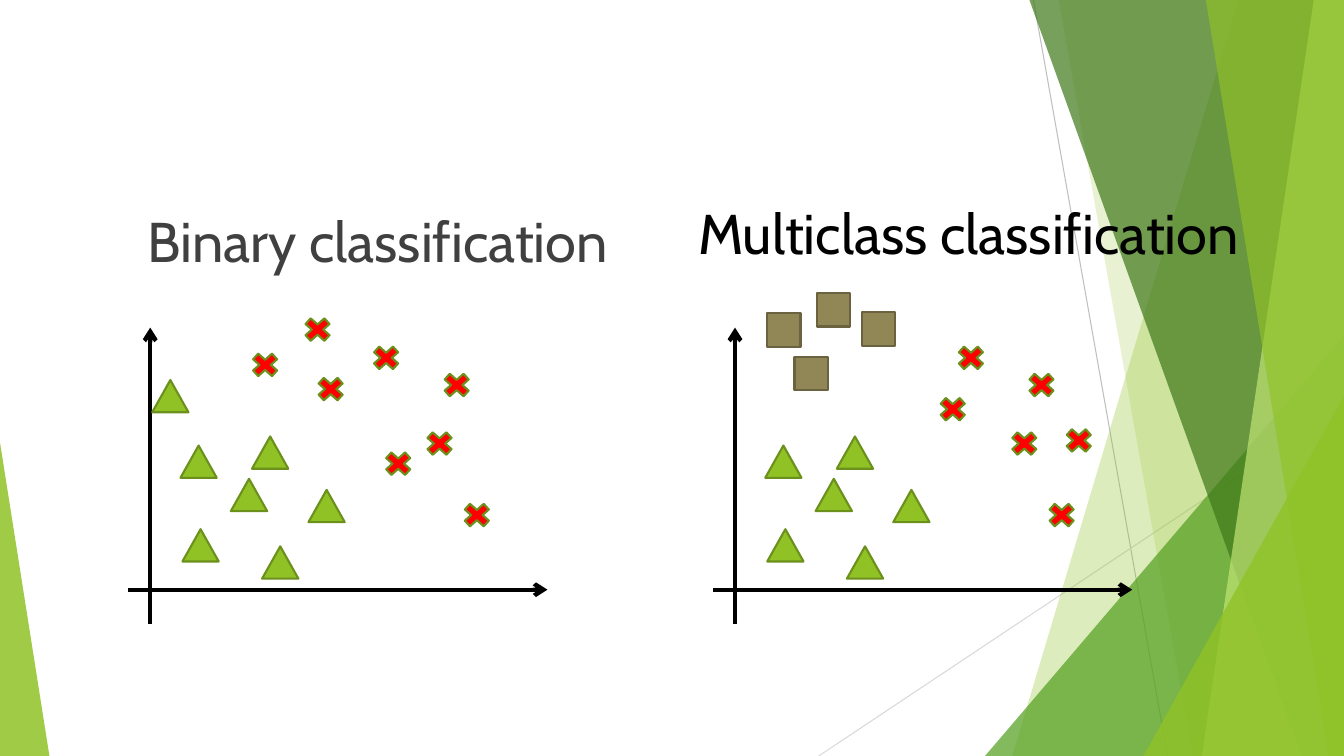
from dataclasses import dataclass

from lxml import etree
from pptx import Presentation
from pptx.dml.color import RGBColor
from pptx.enum.shapes import MSO_CONNECTOR, MSO_SHAPE
from pptx.enum.text import MSO_ANCHOR, MSO_AUTO_SIZE, PP_ALIGN
from pptx.oxml.ns import qn
from pptx.util import Inches, Pt

STRAIGHT = MSO_CONNECTOR.STRAIGHT
TRIANGLE = MSO_SHAPE.ISOSCELES_TRIANGLE
CROSS = MSO_SHAPE.MATH_MULTIPLY
SQUARE = MSO_SHAPE.RECTANGLE
TOP = MSO_ANCHOR.TOP
NO_FIT = MSO_AUTO_SIZE.NONE
CENTER = PP_ALIGN.CENTER

BLACK = RGBColor(0x00, 0x00, 0x00)
DARK = RGBColor(0x40, 0x40, 0x40)
SILVER = RGBColor(0xBF, 0xBF, 0xBF)
PALE = RGBColor(0xD9, 0xD9, 0xD9)
LIME = RGBColor(0x90, 0xC2, 0x26)
GREEN = RGBColor(0x54, 0xA0, 0x21)
FOREST = RGBColor(0x3F, 0x78, 0x19)
LIGHT = RGBColor(0xC0, 0xE4, 0x74)
OLIVE = RGBColor(0x6B, 0x90, 0x1C)
RED = RGBColor(0xFF, 0x00, 0x00)
TAN = RGBColor(0x91, 0x86, 0x55)
BROWN = RGBColor(0x6B, 0x63, 0x3F)

FONT = "Cabin"
WIDTH, HEIGHT = Inches(13.33), Inches(7.5)
COLS, ROWS = 1333, 750
COL, ROW = WIDTH / COLS, HEIGHT / ROWS


@dataclass
class Shard:
    top: int
    foot: int
    color: RGBColor
    alpha: int


@dataclass
class Wedge:
    left: int
    top: int
    width: int
    apex: int
    color: RGBColor
    alpha: int


@dataclass
class Mark:
    kind: int
    width: int
    height: int
    fill: RGBColor
    edge: RGBColor


@dataclass
class Plot:
    left: int
    points: list


DECOR = [
    Shard(1228, 1004, LIME, 30),
    Shard(1050, 1183, LIME, 20),
    Wedge(977, 333, 356, 1, GREEN, 72),
    Shard(1021, 1291, FOREST, 70),
    Shard(1303, 1192, LIGHT, 70),
    Shard(1196, 1318, LIME, 65),
    Wedge(1134, 393, 199, 1, LIME, 80),
    Wedge(0, 439, 49, 0, LIME, 85),
]

LEAF = Mark(TRIANGLE, 36, 32, LIME, OLIVE)
EX = Mark(CROSS, 36, 32, RED, OLIVE)
BOX = Mark(SQUARE, 33, 33, TAN, BROWN)

SHARED = [
    (LEAF, [(133, 542), (54, 525), (52, 442), (102, 475), (179, 486), (123, 433)]),
    (EX, [(238, 339), (291, 424), (308, 366), (328, 495)]),
]
PLOTS = [
    Plot(127, SHARED + [
        (LEAF, [(24, 377)]),
        (EX, [(118, 346), (250, 444), (183, 370), (170, 311)]),
    ]),
    Plot(707, SHARED + [
        (EX, [(345, 421), (220, 390)]),
        (BOX, [(54, 311), (103, 291), (148, 310), (81, 354)]),
    ]),
]


def place(left: float, top: float, width: float, height: float) -> tuple:
    return round(left * COL), round(top * ROW), round(width * COL), round(height * ROW)


def paint(shape, color: RGBColor, alpha: int = 100) -> None:
    shape.shadow.inherit = False
    shape.fill.solid()
    shape.fill.fore_color.rgb = color
    if alpha < 100:
        tint = shape.fill._xPr.find(".//" + qn("a:srgbClr"))
        etree.SubElement(tint, qn("a:alpha")).set("val", str(alpha * 1000))


def draw_line(slide, start: tuple, end: tuple, color: RGBColor, width: float, arrow: bool = False) -> None:
    line = slide.shapes.add_connector(STRAIGHT, *place(*start, *end))
    line.line.color.rgb = color
    line.line.width = Pt(width)
    if arrow:
        tail = etree.SubElement(line.line._get_or_add_ln(), qn("a:tailEnd"))
        tail.set("type", "arrow")
    etree.SubElement(line._element.spPr, qn("a:effectLst"))


def draw_shard(slide, shard: Shard) -> None:
    path = slide.shapes.build_freeform(shard.top, 0, scale=(COL, ROW))
    path.add_line_segments([(COLS, 0), (COLS, ROWS), (shard.foot, ROWS)], close=True)
    shape = path.convert_to_shape()
    paint(shape, shard.color, shard.alpha)
    shape.line.fill.background()


def draw_wedge(slide, wedge: Wedge) -> None:
    spot = place(wedge.left, wedge.top, wedge.width, ROWS - wedge.top)
    shape = slide.shapes.add_shape(TRIANGLE, *spot)
    shape.adjustments[0] = wedge.apex
    paint(shape, wedge.color, wedge.alpha)
    shape.line.fill.background()


def draw_mark(slide, mark: Mark, left: int, top: int) -> None:
    shape = slide.shapes.add_shape(mark.kind, *place(left, top, mark.width, mark.height))
    paint(shape, mark.fill)
    shape.line.color.rgb = mark.edge
    shape.line.width = Pt(1.5)


def draw_plot(slide, plot: Plot) -> None:
    stem = plot.left + 22
    draw_line(slide, (stem, 619), (stem, 325), BLACK, 3, True)
    draw_line(slide, (plot.left, 585), (plot.left + 416, 585), BLACK, 3, True)
    for mark, spots in plot.points:
        for across, top in spots:
            draw_mark(slide, mark, plot.left + across, top)


def set_head(shape, text: str, left: int, color: RGBColor, spacing: float) -> None:
    shape.left, shape.top, shape.width, shape.height = place(left, 200, 565, 476)
    frame = shape.text_frame
    frame.text = text
    frame.word_wrap = True
    frame.auto_size = NO_FIT
    frame.vertical_anchor = TOP
    para = frame.paragraphs[0]
    para.alignment = CENTER
    para.line_spacing = spacing
    font = para.runs[0].font
    font.name, font.size = FONT, Pt(40)
    font.color.rgb = color


def main() -> None:
    deck = Presentation()
    deck.slide_width, deck.slide_height = WIDTH, HEIGHT
    slide = deck.slides.add_slide(deck.slide_layouts.get_by_name("Title Only"))
    draw_line(slide, (1025, 0), (1158, ROWS), SILVER, 0.75)
    draw_line(slide, (COLS, 403), (812, ROWS), PALE, 0.75)
    for part in DECOR:
        if isinstance(part, Shard):
            draw_shard(slide, part)
        else:
            draw_wedge(slide, part)
    set_head(slide.shapes.title, "Binary classification", 92, DARK, 1.0)
    label = slide.shapes.add_textbox(*place(678, 200, 565, 476))
    set_head(label, "Multiclass classification", 678, BLACK, 0.9)
    for plot in PLOTS:
        draw_plot(slide, plot)
    deck.save("out.pptx")


if __name__ == "__main__":
    main()
